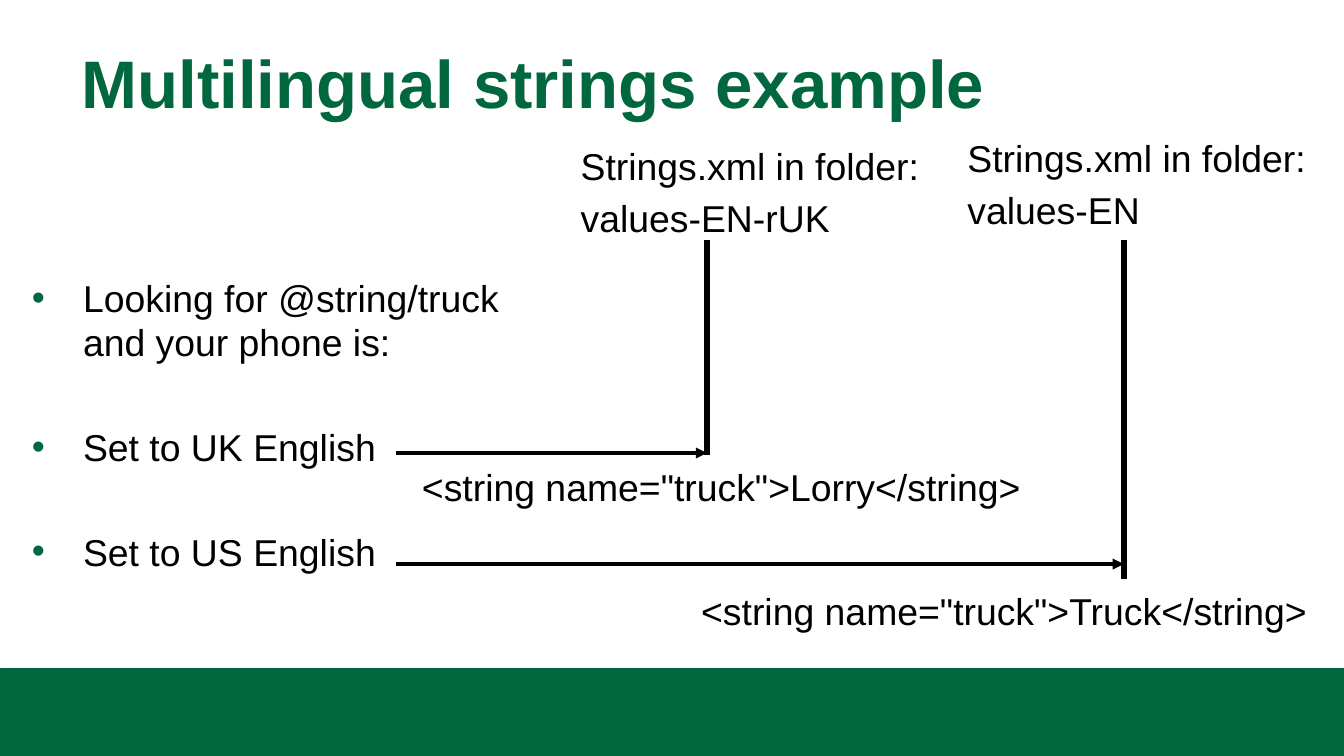
from lxml import etree
from pptx import Presentation
from pptx.dml.color import RGBColor
from pptx.enum.shapes import MSO_CONNECTOR, MSO_SHAPE
from pptx.enum.text import MSO_ANCHOR
from pptx.oxml.ns import qn
from pptx.util import Pt

STRAIGHT = MSO_CONNECTOR.STRAIGHT
RECTANGLE = MSO_SHAPE.RECTANGLE
TOP = MSO_ANCHOR.TOP
GREEN, BLACK = "00673E", "000000"


def color(value):
    return RGBColor.from_string(value)


def add_xml(parent, tag, **attributes):
    return etree.SubElement(parent, qn(tag), attributes)


def add_span(para, text, size=20, fill=BLACK, bold=False):
    span = para.add_run()
    span.text = text
    span.font.name = "Arial"
    span.font.size = Pt(size)
    span.font.bold = bold
    span.font.color.rgb = color(fill)


class SlideBuilder:
    line_height = 24
    space_before = 4
    indent = 27.4

    def __init__(self, page):
        self.page = page

    def text(self, left, top, width, height, lines, inset=4.6, gap=space_before,
             bullets=False, pitch=line_height, **style):
        box = self.page.shapes.add_textbox(Pt(left), Pt(top), Pt(width), Pt(height))
        frame = box.text_frame
        frame.word_wrap = True
        frame.vertical_anchor = TOP
        frame.margin_top = Pt(inset)
        frame.margin_right = Pt(0)
        for index, line in enumerate(lines):
            para = frame.paragraphs[0] if index == 0 else frame.add_paragraph()
            para.line_spacing = Pt(pitch) if pitch else 1.0
            para.space_before = Pt(gap if index else 0)
            if bullets:
                self.bullet(para)
            add_span(para, line, **style)

    def bullet(self, para):
        properties = para._p.get_or_add_pPr()
        properties.set("marL", str(Pt(self.indent)))
        properties.set("indent", str(-Pt(self.indent)))
        add_xml(add_xml(properties, "a:buClr"), "a:srgbClr", val=GREEN)
        add_xml(properties, "a:buFont", typeface="Arial")
        add_xml(properties, "a:buChar", char="•")

    def line(self, start, end, width, arrow=False):
        line = self.page.shapes.add_connector(
            STRAIGHT, Pt(start[0]), Pt(start[1]), Pt(end[0]), Pt(end[1]))
        line.line.color.rgb = color(BLACK)
        line.line.width = Pt(width)
        if arrow:
            add_xml(line.line._get_or_add_ln(), "a:tailEnd", type="triangle")
        add_xml(line._element.spPr, "a:effectLst")

    def band(self, left, top, width, height):
        band = self.page.shapes.add_shape(
            RECTANGLE, Pt(left), Pt(top), Pt(width), Pt(height))
        band.fill.solid()
        band.fill.fore_color.rgb = color(GREEN)
        band.line.fill.background()
        band.shadow.inherit = False
        effects = band._element.spPr.find(qn("a:effectLst"))
        shadow = add_xml(effects, "a:outerShdw", blurRad=str(Pt(3.1)),
                         dist=str(Pt(1.8)), dir="5400000", rotWithShape="0")
        add_xml(add_xml(shadow, "a:srgbClr", val=BLACK), "a:alpha", val="35000")


deck = Presentation()
deck.slide_width, deck.slide_height = Pt(720), Pt(405)
slide = SlideBuilder(deck.slides.add_slide(deck.slide_layouts[6]))

slide.band(0, 358, 720, 47)
slide.text(36.7, 15, 646.6, 70.6, ["Multilingual strings example"],
           inset=7, pitch=None, size=36, fill=GREEN, bold=True)
slide.text(10, 142.6, 278.6, 173.5,
           ["Looking for @string/truck and your phone is:",
            "Set to UK English", "Set to US English"],
           gap=slide.line_height + 2 * slide.space_before, bullets=True)

branches = [
    ("values-EN-rUK", "Lorry", (304, 72), (219, 244), 378.7, 242.7, 244),
    ("values-EN", "Truck", (511.2, 67.7), (368.6, 310.3), 602, 302.2, 310.3),
]
for folder, word, heading, entry, stem, level, bottom in branches:
    slide.text(*heading, 208, 70.6, ["Strings.xml in folder:", folder])
    slide.text(*entry, 347.8, 33, [f'<string name="truck">{word}</string>'])
    slide.line((212.2, level), (stem, level), 1.75, arrow=True)
    slide.line((stem, 128.5), (stem, bottom), 3)

deck.save("out.pptx")
